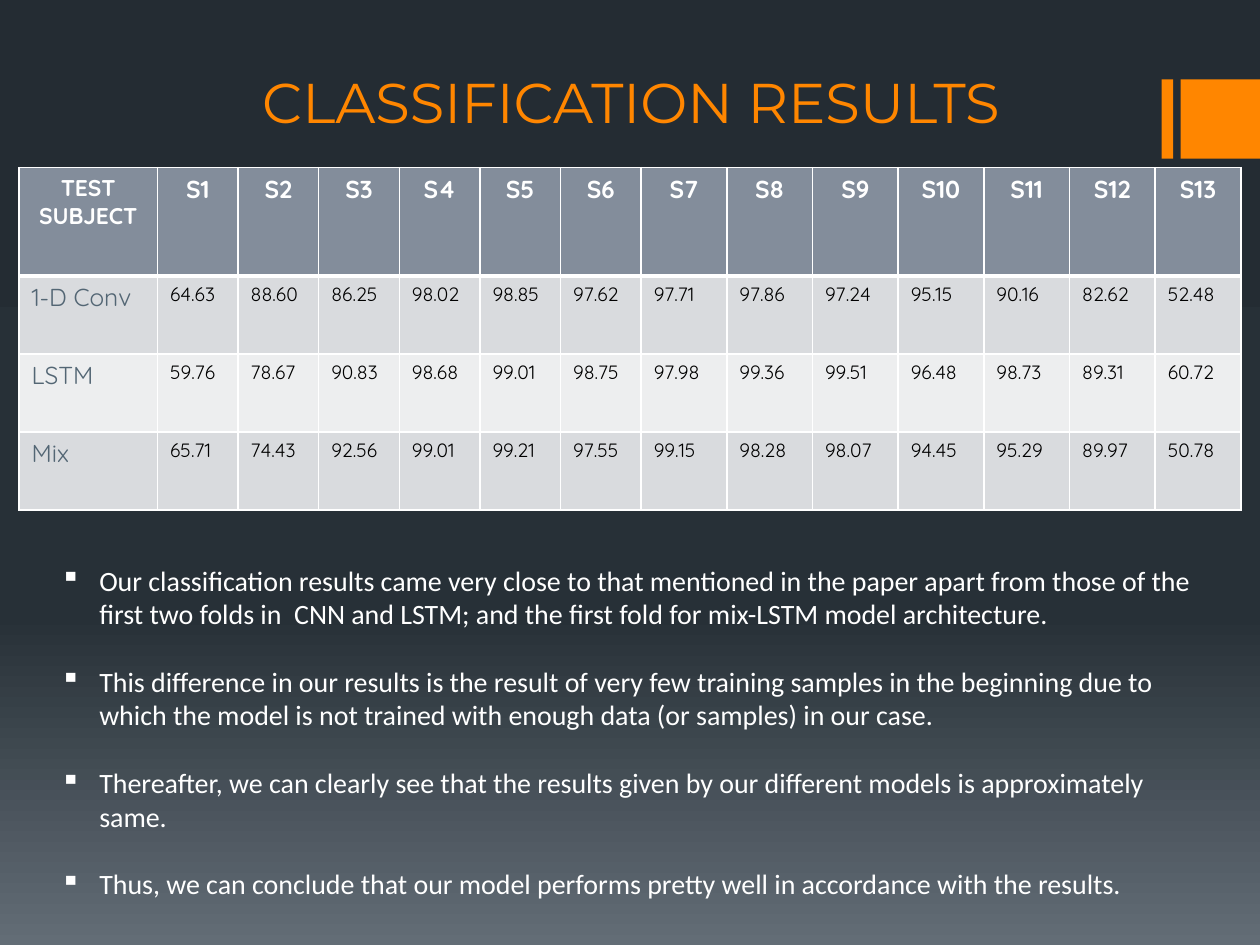
import copy

import lxml.etree
import pptx
import pptx.dml.color
import pptx.enum.shapes
import pptx.enum.text
import pptx.oxml.ns
import pptx.util

COLUMNS, ROWS = 100, 75
ORANGE, WHITE = "FF8600", "FFFFFF"
HEADER_FILL, BAND_FILLS = "838D9B", ["D9DBDE", "EDEEEF"]
LABEL, INK = "536674", "000000"
BACKGROUND = [(0, "242C33"), (65, "273037"), (100, "636D76")]

RESULTS = [
    ["TEST SUBJECT"] + [f"S{number}" for number in range(1, 14)],
    "1-D Conv|64.63|88.60|86.25|98.02|98.85|97.62|97.71|97.86|97.24|95.15|90.16|82.62|52.48".split("|"),
    "LSTM|59.76|78.67|90.83|98.68|99.01|98.75|97.98|99.36|99.51|96.48|98.73|89.31|60.72".split("|"),
    "Mix|65.71|74.43|92.56|99.01|99.21|97.55|99.15|98.28|98.07|94.45|95.29|89.97|50.78".split("|"),
]
COLUMN_WIDTHS = [11] + [6.4] * 6 + [6.8] * 7
ROW_HEIGHTS = [8.6] + [6.2] * 3

FINDINGS = [
    "Our classification results came very close to that mentioned in the paper apart from those of the first two folds in  CNN and LSTM; and the first fold for mix-LSTM model architecture.",
    "This difference in our results is the result of very few training samples in the beginning due to which the model is not trained with enough data (or samples) in our case.",
    "Thereafter, we can clearly see that the results given by our different models is approximately same.",
    "Thus, we can conclude that our model performs pretty well in accordance with the results.",
]

deck = pptx.Presentation()
deck.slide_width = pptx.util.Inches(10)
deck.slide_height = pptx.util.Inches(7.5)
page = deck.slides.add_slide(deck.slide_layouts[6])


def place(*cells):
    sides = [deck.slide_width / COLUMNS, deck.slide_height / ROWS]
    return [round(count * sides[index % 2]) for index, count in enumerate(cells)]


def color(hex_code):
    return pptx.dml.color.RGBColor.from_string(hex_code)


backdrop = page.background.fill
backdrop.gradient()
backdrop.gradient_angle = 270
first_stop = backdrop.gradient_stops[0]._gs
first_stop.addnext(copy.deepcopy(first_stop))
for stop, (position, shade) in zip(backdrop.gradient_stops, BACKGROUND):
    stop.position = position / 100
    stop.color.rgb = color(shade)

for left, width in [(92.2, 0.9), (93.7, 6.3)]:
    bar = page.shapes.add_shape(
        pptx.enum.shapes.MSO_SHAPE.RECTANGLE, *place(left, 6.3, width, 6.3))
    bar.shadow.inherit = False
    bar.fill.solid()
    bar.fill.fore_color.rgb = color(ORANGE)
    bar.line.fill.background()

title = page.shapes.add_textbox(*place(10.1, 4.2, 80, 7)).text_frame
title.word_wrap = True
title.vertical_anchor = pptx.enum.text.MSO_ANCHOR.BOTTOM
para = title.paragraphs[0]
para.text = "CLASSIFICATION RESULTS"
para.alignment = pptx.enum.text.PP_ALIGN.CENTER
para.font.name = "Montserrat"
para.font.size = pptx.util.Pt(32)
para.font.color.rgb = color(ORANGE)

table = page.shapes.add_table(
    len(RESULTS), len(COLUMN_WIDTHS),
    *place(1.5, 13.3, sum(COLUMN_WIDTHS), sum(ROW_HEIGHTS))).table
for column, width in zip(table.columns, COLUMN_WIDTHS):
    column.width = place(width)[0]
for row, height in zip(table.rows, ROW_HEIGHTS):
    row.height = place(0, height)[1]

for row_index, row_texts in enumerate(RESULTS):
    for column_index, text in enumerate(row_texts):
        cell = table.cell(row_index, column_index)
        is_header, is_label = row_index == 0, column_index == 0
        properties = cell._tc.get_or_add_tcPr()
        for side in "LRTB":
            heavy = (is_header and side == "B") or (row_index == 1 and side == "T")
            border = lxml.etree.SubElement(
                properties, pptx.oxml.ns.qn(f"a:ln{side}"),
                w=str(pptx.util.Pt(3 if heavy else 1)))
            paint = lxml.etree.SubElement(border, pptx.oxml.ns.qn("a:solidFill"))
            lxml.etree.SubElement(paint, pptx.oxml.ns.qn("a:srgbClr"), val=WHITE)
        cell.fill.solid()
        cell.fill.fore_color.rgb = color(
            HEADER_FILL if is_header else BAND_FILLS[(row_index - 1) % 2])
        cell.text = text
        para = cell.text_frame.paragraphs[0]
        para.font.name = "Quicksand"
        para.font.bold = is_header
        if is_header:
            para.alignment = pptx.enum.text.PP_ALIGN.CENTER
            size, ink = 13 if is_label else 14, WHITE
        else:
            size, ink = (14, LABEL) if is_label else (11, INK)
        para.font.size = pptx.util.Pt(size)
        para.font.color.rgb = color(ink)

findings = page.shapes.add_textbox(*place(3.8, 44.2, 92.5, 27.9)).text_frame
findings.word_wrap = True
for index, text in enumerate(FINDINGS):
    para = findings.paragraphs[0] if index == 0 else findings.add_paragraph()
    para.text = text
    if index:
        para.space_before = pptx.util.Pt(19.5)
    properties = para._p.get_or_add_pPr()
    indent = place(3.1)[0]
    properties.set("marL", str(indent))
    properties.set("indent", str(-indent))
    lxml.etree.SubElement(properties, pptx.oxml.ns.qn("a:buChar"), char="▪")
    para.font.name = "Calibri"
    para.font.size = pptx.util.Pt(16)
    para.font.color.rgb = color(WHITE)

deck.save("out.pptx")
